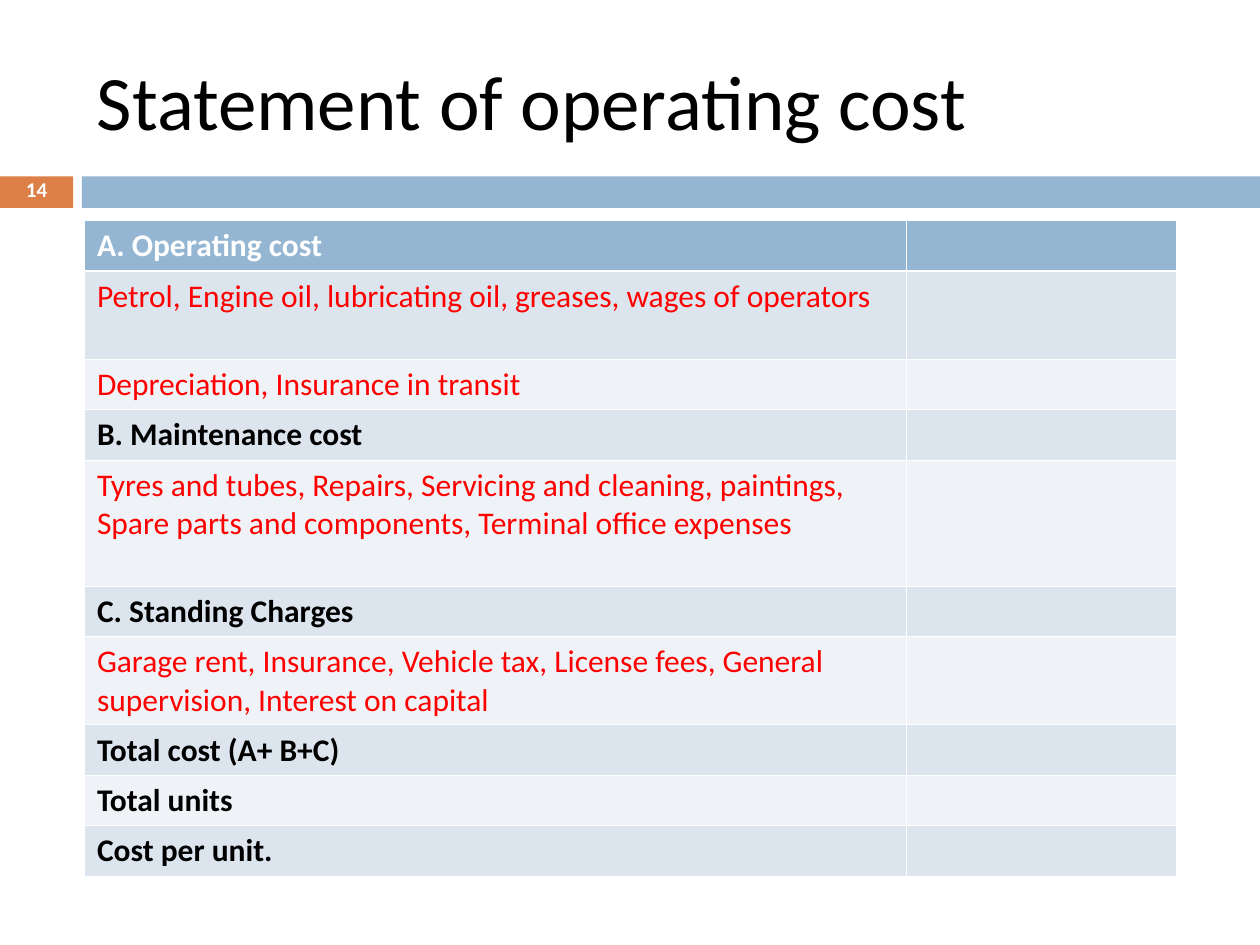
from lxml.etree import SubElement
from pptx import Presentation
from pptx.dml.color import RGBColor
from pptx.enum.shapes import MSO_SHAPE as Shape
from pptx.enum.text import MSO_ANCHOR as Anchor, PP_ALIGN as Align
from pptx.oxml.ns import qn
from pptx.util import Inches, Pt

WHITE = RGBColor(0xFF, 0xFF, 0xFF)
BLACK = RGBColor(0x00, 0x00, 0x00)
RED = RGBColor(0xFF, 0x00, 0x00)
ORANGE = RGBColor(0xDD, 0x80, 0x47)
BLUE = RGBColor(0x94, 0xB6, 0xD2)
BANDS = (RGBColor(0xDC, 0xE5, 0xEE), RGBColor(0xEF, 0xF3, 0xF7))

COLUMNS, ROWS = 100, 75
THIN, THICK = 0.45, 1.47
LINE_ROWS, CELL_PADDING = 3, 1

# Text, height in text lines, whether it is a heading
STATEMENT = [
    ("A. Operating cost", 1, True),
    ("Petrol, Engine oil, lubricating oil, greases, wages of operators", 2, False),
    ("Depreciation, Insurance in transit", 1, False),
    ("B. Maintenance cost", 1, True),
    ("Tyres and tubes, Repairs, Servicing and cleaning, paintings, "
     "Spare parts and components, Terminal office expenses", 3, False),
    ("C. Standing Charges", 1, True),
    ("Garage rent, Insurance, Vehicle tax, License fees, General "
     "supervision, Interest on capital", 2, False),
    ("Total cost (A+ B+C)", 1, True),
    ("Total units", 1, True),
    ("Cost per unit.", 1, True),
]


def write(frame, text, size=18, color=BLACK, bold=False, align=Align.LEFT, spacing=None):
    frame.word_wrap = True
    paragraph = frame.paragraphs[0]
    paragraph.alignment = align
    paragraph.line_spacing = spacing
    run = paragraph.add_run()
    run.text = text
    font = run.font
    font.name, font.size, font.bold = "Calibri", Pt(size), bold
    font.color.rgb = color


def set_border(cell, side, width):
    """Draw one white border; side is L, R, T or B. Call before filling the cell."""
    line = SubElement(cell._tc.get_or_add_tcPr(), qn(f"a:ln{side}"), w=str(Pt(width)))
    fill = SubElement(line, qn("a:solidFill"))
    SubElement(fill, qn("a:srgbClr"), val=str(WHITE))


class SlideBuilder:
    """Places elements on a grid of COLUMNS by ROWS over the slide."""

    def __init__(self, presentation):
        self.column = presentation.slide_width / COLUMNS
        self.row = presentation.slide_height / ROWS
        self.slide = presentation.slides.add_slide(presentation.slide_layouts[6])

    def place(self, left, top, width, height):
        return (round(left * self.column), round(top * self.row),
                round(width * self.column), round(height * self.row))

    def bar(self, area, color):
        bar = self.slide.shapes.add_shape(Shape.RECTANGLE, *self.place(*area))
        bar.shadow.inherit = False
        bar.fill.solid()
        bar.fill.fore_color.rgb = color
        bar.line.fill.background()

    def text(self, area, text, **style):
        frame = self.slide.shapes.add_textbox(*self.place(*area)).text_frame
        frame.vertical_anchor = Anchor.MIDDLE
        write(frame, text, **style)

    def table(self, left, top, widths, entries):
        heights = [lines * LINE_ROWS + CELL_PADDING for _, lines, _ in entries]
        area = self.place(left, top, sum(widths), sum(heights))
        table = self.slide.shapes.add_table(len(entries), len(widths), *area).table
        for column, width in zip(table.columns, widths):
            column.width = round(width * self.column)
        for index, (text, _, heading) in enumerate(entries):
            table.rows[index].height = round(heights[index] * self.row)
            for cell in table.rows[index].cells:
                self.style_cell(cell, index)
            color = WHITE if index == 0 else BLACK if heading else RED
            write(table.cell(index, 0).text_frame, text, color=color, bold=heading)

    def style_cell(self, cell, index):
        top = THICK if index == 1 else THIN
        bottom = THICK if index == 0 else THIN
        for side, width in zip("LRTB", (THIN, THIN, top, bottom)):
            set_border(cell, side, width)
        cell.fill.solid()
        cell.fill.fore_color.rgb = BLUE if index == 0 else BANDS[(index - 1) % 2]


def main():
    presentation = Presentation()
    presentation.slide_width, presentation.slide_height = Inches(10), Inches(7.5)
    builder = SlideBuilder(presentation)
    number_area = (0, 14, 5.8, 2.5)
    builder.bar(number_area, ORANGE)
    builder.bar((6.5, 14, 93.5, 2.5), BLUE)
    builder.text((6.7, 2.5, 89.2, 10.8), "Statement of operating cost", size=44)
    builder.text(number_area, "14", size=12, color=WHITE, bold=True,
                 align=Align.CENTER, spacing=0.7)
    builder.table(6.7, 17.5, (65.25, 21.4), STATEMENT)
    presentation.save("out.pptx")


if __name__ == "__main__":
    main()
